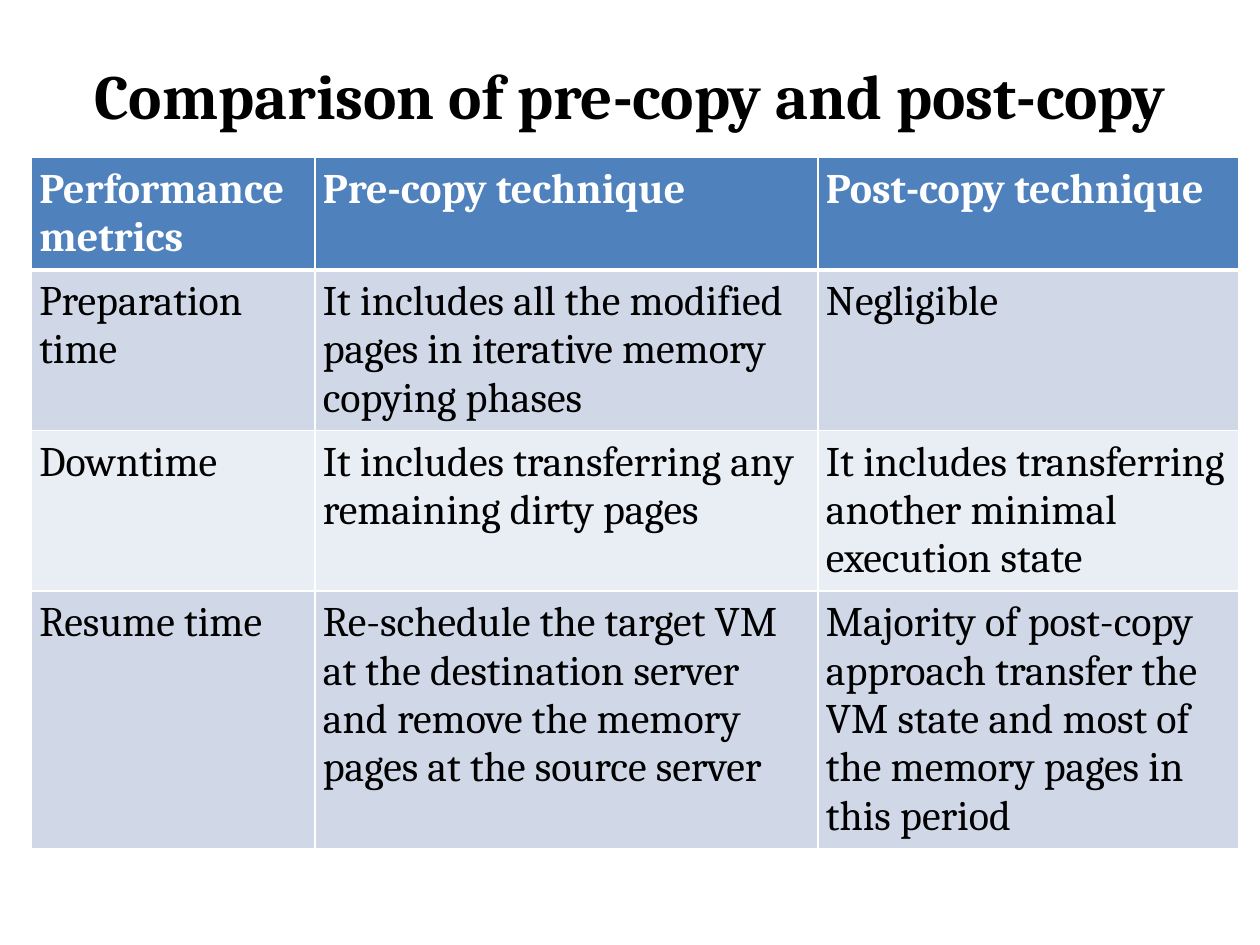
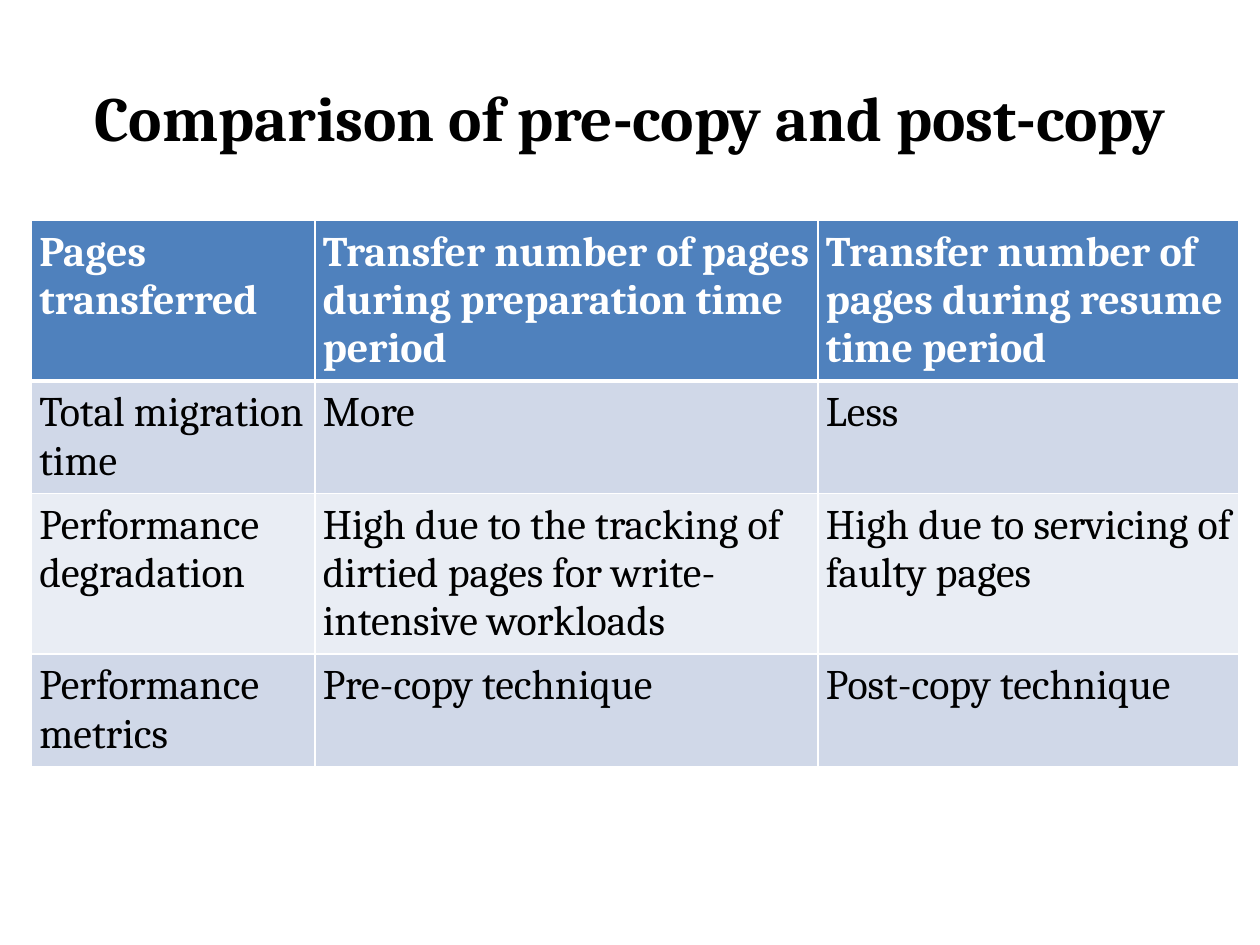
from dataclasses import dataclass

from lxml.etree import SubElement
from pptx import Presentation
from pptx.dml.color import RGBColor
from pptx.enum.text import MSO_ANCHOR, MSO_AUTO_SIZE, PP_ALIGN
from pptx.oxml.ns import qn
from pptx.util import Pt

FONT = "Cambria"
WHITE, BLACK = "FFFFFF", "000000"
HEADER, BANDS = "4F81BD", ("E9EDF4", "D0D8E8")
TITLE = "Comparison of pre-copy and post-copy"
COLUMNS = (162, 287.5, 240.5)
ROW_HEIGHT = 29.5
INSET = 4.5


@dataclass
class Comparison:
    """One slide: title band, table position and table text."""
    title_top: float
    title_height: float
    table_top: float
    table_height: float
    rows: list[tuple[str, str, str]]


COMPARISONS = [
    Comparison(18, 72, 90, 439, [
        ("Performance metrics", "Pre-copy technique", "Post-copy technique"),
        ("Preparation time",
         "It includes all the modified pages in iterative memory copying phases",
         "Negligible"),
        ("Downtime",
         "It includes transferring any remaining dirty pages",
         "It includes transferring another minimal execution state"),
        ("Resume time",
         "Re-schedule the target VM at the destination server "
         "and remove the memory pages at the source server",
         "Majority of post-copy approach transfer the VM state "
         "and most of the memory pages in this period"),
    ]),
    Comparison(21.5, 90, 126, 324, [
        ("Pages transferred",
         "Transfer number of pages during preparation time period",
         "Transfer number of pages during resume time period"),
        ("Total migration time", "More", "Less"),
        ("Performance degradation",
         "High due to the tracking of dirtied pages for write-intensive workloads",
         "High due to servicing of faulty pages"),
        ("Performance metrics", "Pre-copy technique", "Post-copy technique"),
    ]),
]


def rgb(value: str) -> RGBColor:
    """Turn a hex string into a colour."""
    return RGBColor.from_string(value)


def add_run(p, text: str, size: float, color: str, bold: bool) -> None:
    """Add one formatted run to a paragraph."""
    r = p.add_run()
    r.text = text
    r.font.name = FONT
    r.font.size = Pt(size)
    r.font.bold = bold
    r.font.color.rgb = rgb(color)


def set_borders(cell, top: float, bottom: float) -> None:
    """Draw white borders around a cell, one point wide at the sides."""
    tc_pr = cell._tc.get_or_add_tcPr()
    for side, width in (("L", 1), ("R", 1), ("T", top), ("B", bottom)):
        ln = SubElement(tc_pr, qn(f"a:ln{side}"), w=str(Pt(width)))
        fill = SubElement(ln, qn("a:solidFill"))
        SubElement(fill, qn("a:srgbClr"), val=WHITE)


def add_title(s, item: Comparison) -> None:
    """Place and fill the title placeholder."""
    sp = s.shapes.title
    sp.left, sp.top = Pt(36), Pt(item.title_top)
    sp.width, sp.height = Pt(648), Pt(item.title_height)
    tf = sp.text_frame
    tf.auto_size = MSO_AUTO_SIZE.NONE
    tf.vertical_anchor = MSO_ANCHOR.MIDDLE
    p = tf.paragraphs[0]
    p.alignment = PP_ALIGN.CENTER
    add_run(p, TITLE, 36, BLACK, True)


def fill_cell(cell, text: str, row: int) -> None:
    """Style a cell by its row and write its text."""
    header = row == 0
    cell.margin_left = cell.margin_right = Pt(INSET)
    cell.margin_top = cell.margin_bottom = Pt(INSET)
    set_borders(cell, 3 if row == 1 else 1, 3 if header else 1)
    cell.fill.solid()
    cell.fill.fore_color.rgb = rgb(HEADER if header else BANDS[row % 2])
    add_run(cell.text_frame.paragraphs[0], text, 24, WHITE if header else BLACK, header)


def add_comparison_table(s, item: Comparison) -> None:
    """Add the table with a header row and banded body rows."""
    frame = s.shapes.add_table(len(item.rows), len(COLUMNS), Pt(18), Pt(item.table_top),
                               Pt(sum(COLUMNS)), Pt(item.table_height))
    table = frame.table
    for column, width in zip(table.columns, COLUMNS):
        column.width = Pt(width)
    for i, texts in enumerate(item.rows):
        table.rows[i].height = Pt(ROW_HEIGHT)
        for j, text in enumerate(texts):
            fill_cell(table.cell(i, j), text, i)
    frame.height = Pt(item.table_height)


def main() -> None:
    """Build and save the presentation."""
    prs = Presentation()
    prs.slide_width, prs.slide_height = Pt(720), Pt(540)
    for item in COMPARISONS:
        s = prs.slides.add_slide(prs.slide_layouts.get_by_name("Title Only"))
        add_title(s, item)
        add_comparison_table(s, item)
    prs.save("out.pptx")


main()
